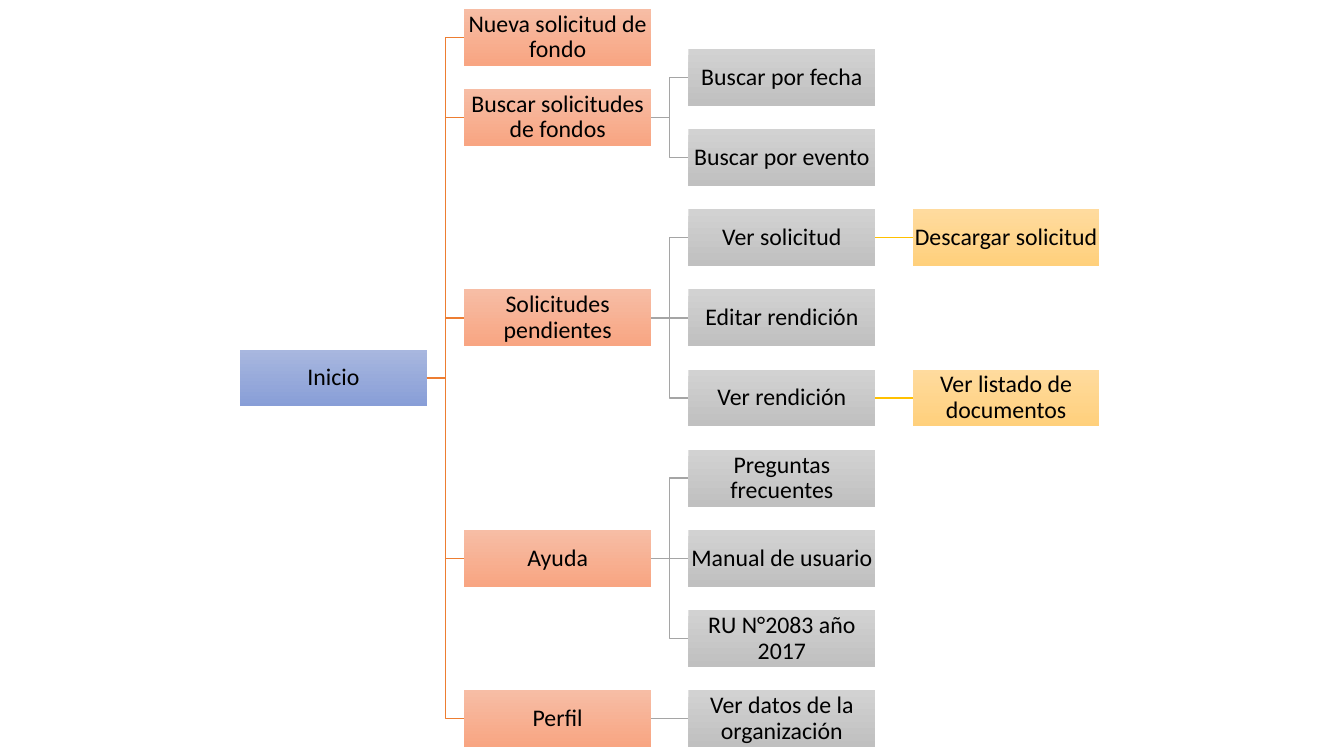
import pptx
import pptx.util
import pptx.dml.color
import pptx.enum.shapes
import pptx.enum.text
import pptx.oxml.ns
import lxml.etree

Cm = pptx.util.Cm
RGBColor = pptx.dml.color.RGBColor
Connector = pptx.enum.shapes.MSO_CONNECTOR

BLACK = RGBColor(0x00, 0x00, 0x00)
ORANGE = RGBColor(0xED, 0x7D, 0x31)
GREY = RGBColor(0xA5, 0xA5, 0xA5)
GOLD = RGBColor(0xFF, 0xC0, 0x00)
LEVEL_FILLS = [
    (RGBColor(0xA8, 0xB7, 0xDF), RGBColor(0x88, 0x9E, 0xD7)),
    (RGBColor(0xF7, 0xBD, 0xA5), RGBColor(0xF8, 0xA5, 0x82)),
    (RGBColor(0xD2, 0xD2, 0xD2), RGBColor(0xC0, 0xC0, 0xC0)),
    (RGBColor(0xFF, 0xDB, 0x9E), RGBColor(0xFF, 0xD0, 0x7C)),
]
LEVEL_LINES = [None, ORANGE, GREY, GOLD]

SITE_MAP = ("Inicio", [
    ("Nueva solicitud de fondo", []),
    ("Buscar solicitudes de fondos", [
        ("Buscar por fecha", []),
        ("Buscar por evento", []),
    ]),
    ("Solicitudes pendientes", [
        ("Ver solicitud", [("Descargar solicitud", [])]),
        ("Editar rendición", []),
        ("Ver rendición", [("Ver listado de documentos", [])]),
    ]),
    ("Ayuda", [
        ("Preguntas frecuentes", []),
        ("Manual de usuario", []),
        ("RU N°2083 año 2017", []),
    ]),
    ("Perfil", [("Ver datos de la organización", [])]),
])

LEFT, COLUMN_STEP = 6.05, 5.65
FIRST_CENTRE, ROW_STEP = 0.94, 2.02
BOX_WIDTH, BOX_HEIGHT = 4.71, 1.43
INSET = 0.03
LEFT_SITE, RIGHT_SITE = 1, 3


def add_box(text, level, row):
    centre = FIRST_CENTRE + row * ROW_STEP
    box = page.shapes.add_shape(
        pptx.enum.shapes.MSO_SHAPE.RECTANGLE,
        Cm(LEFT + level * COLUMN_STEP), Cm(centre - BOX_HEIGHT / 2),
        Cm(BOX_WIDTH), Cm(BOX_HEIGHT))
    box.shadow.inherit = False
    box.line.fill.background()
    box.fill.gradient()
    box.fill.gradient_angle = 270
    for stop, color in zip(box.fill.gradient_stops, LEVEL_FILLS[level]):
        stop.color.rgb = color
    frame = box.text_frame
    frame.word_wrap = True
    frame.vertical_anchor = pptx.enum.text.MSO_ANCHOR.MIDDLE
    frame.margin_left = frame.margin_right = Cm(INSET)
    frame.margin_top = frame.margin_bottom = Cm(INSET)
    para = frame.paragraphs[0]
    para.alignment = pptx.enum.text.PP_ALIGN.CENTER
    para.line_spacing = 0.9
    span = para.add_run()
    span.text = text
    span.font.name = "Calibri"
    span.font.size = pptx.util.Pt(17)
    span.font.color.rgb = BLACK
    return box


def add_link(parent, child, color, same_row):
    kind = Connector.STRAIGHT if same_row else Connector.ELBOW
    link = page.shapes.add_connector(kind, 0, 0, 0, 0)
    link.begin_connect(parent, RIGHT_SITE)
    link.end_connect(child, LEFT_SITE)
    link.line.color.rgb = color
    link.line.width = pptx.util.Pt(1)
    properties = link._element.spPr
    lxml.etree.SubElement(properties, pptx.oxml.ns.qn("a:effectLst"))


def add_branch(node, level, first_row):
    text, children = node
    branches = []
    next_row = first_row
    for child in children:
        box, row, next_row = add_branch(child, level + 1, next_row)
        branches.append((box, row))
    if branches:
        row = (branches[0][1] + branches[-1][1]) / 2
    else:
        row = first_row
        next_row = first_row + (0.5 if level == 1 else 1)
    box = add_box(text, level, row)
    for child_box, child_row in branches:
        add_link(box, child_box, LEVEL_LINES[level + 1], child_row == row)
    return box, row, next_row


deck = pptx.Presentation()
deck.slide_width, deck.slide_height = Cm(33.87), Cm(19.05)
page = deck.slides.add_slide(deck.slide_layouts[6])
add_branch(SITE_MAP, 0, 0)
deck.save("out.pptx")
